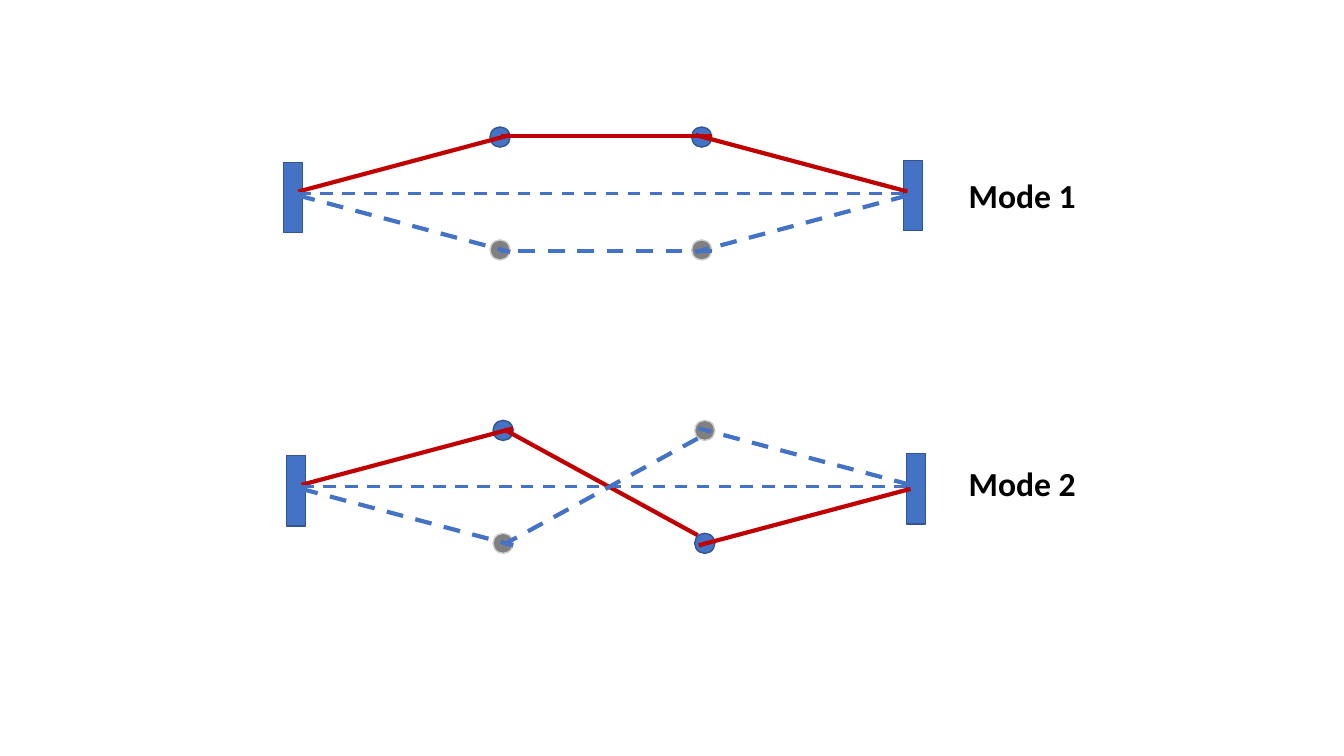
import pptx
import pptx.dml.color
import pptx.enum.dml
import pptx.enum.shapes
import pptx.enum.text
import pptx.oxml
import pptx.oxml.ns
import pptx.util

SHAPE = pptx.enum.shapes.MSO_SHAPE
BLUE, BLUE_EDGE, RED = "4472C4", "325491", "C00000"
GREY, GREY_EDGE = "808080", "D0CECE"
MOVING = {"fill": BLUE, "edge": BLUE_EDGE, "string": RED, "dashed": False}
MIRROR = {"fill": GREY, "edge": GREY_EDGE, "string": BLUE, "dashed": True}


def px(length):
    """Turn px, 100 to the inch, into EMU."""
    return pptx.util.Emu(length * 9144)


def color(hex_string):
    return pptx.dml.color.RGBColor.from_string(hex_string)


def write(frame, text, font="Calibri", size=24, ink="000000", bold=True):
    span = frame.paragraphs[0].add_run()
    span.text = text
    span.font.name = font
    span.font.size = pptx.util.Pt(size)
    span.font.bold = bold
    span.font.color.rgb = color(ink)


class ModeSlide:
    def __init__(self, deck):
        self.page = deck.slides.add_slide(deck.slide_layouts[6])
        self.group = None
        self.origin = (0, 0)

    def start_group(self, left, axis):
        """Open a group whose elements are placed from its left end and rest axis."""
        self.group = self.page.shapes.add_group_shape()
        self.origin = (left, axis)

    def solid(self, kind, x, y, width, height, fill, edge):
        left, axis = self.origin
        shape = self.group.shapes.add_shape(
            kind, px(left + x), px(axis + y), px(width), px(height))
        shape.shadow.inherit = False
        shape.fill.solid()
        shape.fill.fore_color.rgb = color(fill)
        shape.line.color.rgb = color(edge)
        shape.line.width = pptx.util.Pt(1)

    def line(self, start, end, ink, dashed, weight=3):
        left, axis = self.origin
        connector = self.group.shapes.add_connector(
            pptx.enum.shapes.MSO_CONNECTOR.STRAIGHT,
            px(left + start[0]), px(axis + start[1]),
            px(left + end[0]), px(axis + end[1]))
        connector.line.color.rgb = color(ink)
        connector.line.width = pptx.util.Pt(weight)
        if dashed:
            connector.line.dash_style = pptx.enum.dml.MSO_LINE.DASH
        properties = connector._element.spPr
        properties.append(pptx.oxml.parse_xml(
            f"<a:effectLst {pptx.oxml.ns.nsdecls('a')}/>"))

    def label(self, text, left, top):
        box = self.page.shapes.add_textbox(px(left), px(top), px(127), px(50))
        box.text_frame.word_wrap = False
        box.text_frame.auto_size = pptx.enum.text.MSO_AUTO_SIZE.SHAPE_TO_FIT_TEXT
        write(box.text_frame, text)

    def half(self, side, styles, in_phase):
        """Draw the beads and strings above (side -1) or below (side 1) the axis."""
        bead_top = side * 56 - 10
        for bead_left, style in zip((205, 405), styles):
            self.solid(SHAPE.OVAL, bead_left, bead_top, 20, 20,
                       style["fill"], style["edge"])
        for wall_x, bead_x, style in zip((15, 619), (225, 409), styles):
            self.line((wall_x, side * 2), (bead_x, side * 58),
                      style["string"], style["dashed"])
        right_end = (425, side * 57) if in_phase else (408, side * -48)
        self.line(right_end, (216, side * 57),
                  styles[0]["string"], styles[0]["dashed"])

    def mode(self, text, left, axis, label_top, in_phase):
        self.start_group(left, axis)
        for wall_left, wall_top in ((0, -31), (615, -33)):
            self.solid(SHAPE.RECTANGLE, wall_left, wall_top, 19, 70, BLUE, BLUE_EDGE)
        upper = (MOVING, MOVING if in_phase else MIRROR)
        lower = (MIRROR, MIRROR if in_phase else MOVING)
        self.half(-1, upper, in_phase)
        self.line((15, 0), (615, 0), BLUE, True, weight=2.25)
        self.half(1, lower, in_phase)
        self.label(text, 951, label_top)


def main():
    deck = pptx.Presentation()
    deck.slide_width, deck.slide_height = px(1333), px(750)
    slide = ModeSlide(deck)
    slide.mode("Mode 1", 281, 192, 169, in_phase=True)
    slide.mode("Mode 2", 284, 483, 454, in_phase=False)
    deck.save("out.pptx")


if __name__ == "__main__":
    main()
